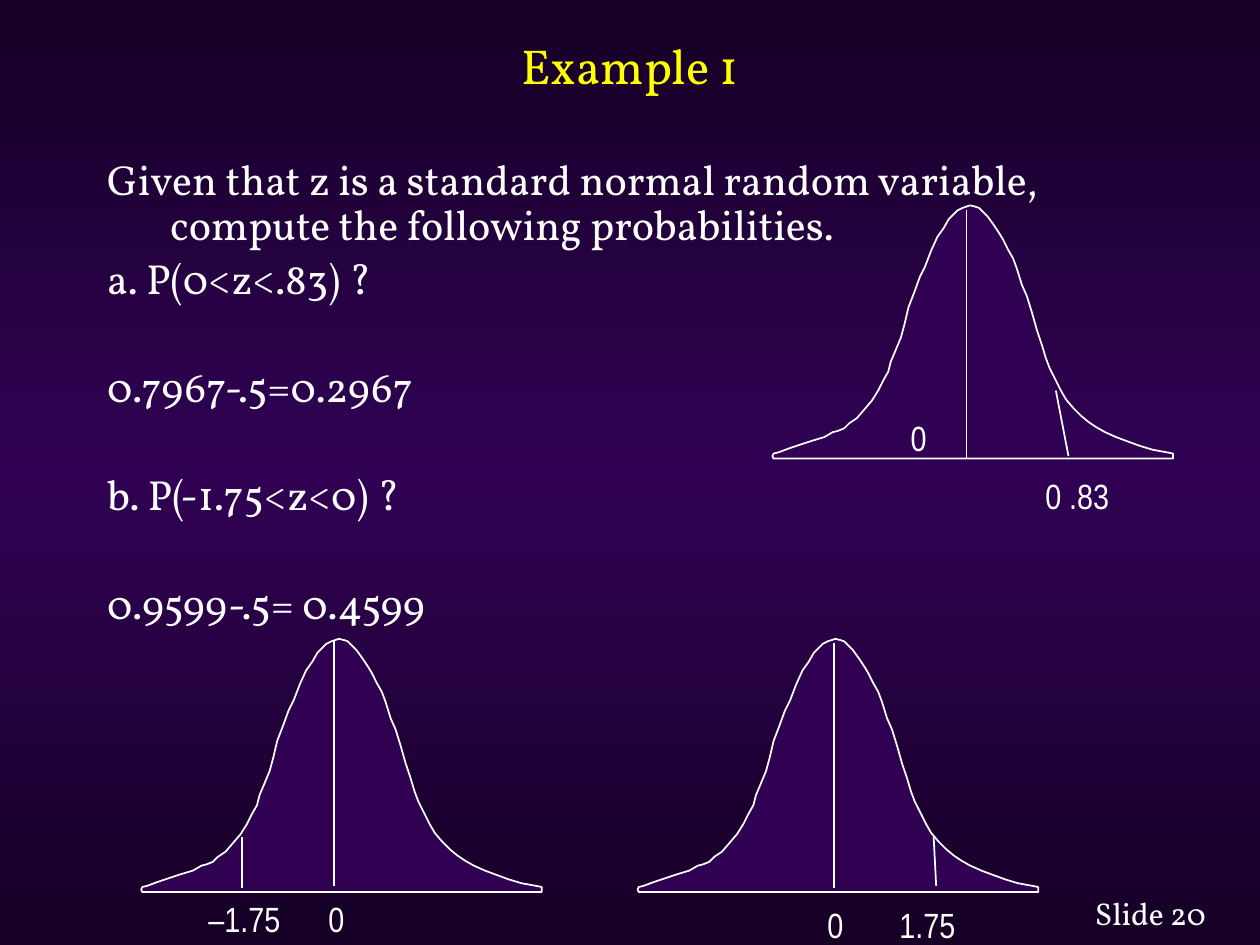
"""Build the slide of normal-curve probability examples."""
from copy import deepcopy

from lxml import etree
from pptx import Presentation
from pptx import util as u
from pptx.dml.color import RGBColor
from pptx.enum import shapes, text
from pptx.oxml.ns import qn

NIGHT = RGBColor(0x16, 0x00, 0x26)
PURPLE = RGBColor(0x30, 0x01, 0x53)
YELLOW = RGBColor(0xFF, 0xFF, 0x00)
WHITE = RGBColor(0xFF, 0xFF, 0xFF)
SERIF, NARROW = "Vollkorn", "Arial Narrow"

WIDTH, HEIGHT = u.Inches(10), u.Inches(7.5)
CELL = WIDTH // 100
BELL_UNIT = CELL // 10

BELL = [
    (1, 201), (0, 199), (1, 197), (5, 196), (13, 193), (22, 190), (31, 187),
    (41, 184), (48, 180), (52, 179), (57, 177), (61, 173), (67, 169),
    (73, 162), (79, 155), (84, 147), (88, 139), (92, 132), (94, 124),
    (97, 117), (102, 105), (105, 94), (108, 81), (113, 68), (117, 57),
    (121, 49), (126, 36), (131, 25), (136, 18), (140, 11), (144, 7),
    (147, 4), (151, 2), (154, 1), (157, 0), (161, 1), (164, 2), (168, 6),
    (171, 9), (176, 16), (180, 22), (183, 27), (187, 35), (191, 42),
    (194, 50), (198, 63), (202, 72), (206, 85), (210, 99), (214, 111),
    (217, 121), (220, 129), (224, 137), (229, 147), (233, 154), (239, 161),
    (245, 167), (251, 172), (257, 176), (264, 180), (273, 184), (281, 187),
    (292, 191), (302, 194), (313, 196), (318, 197), (318, 201),
]

CURVES = [
    (61.3, 16.3, [(154, 4, 154, 201), (225, 147, 235, 199)]),
    (11.2, 50.7, [(153, 2, 153, 196), (80, 157, 80, 198)]),
    (50.6, 50.7, [(156, 3, 156, 198), (235, 157, 237, 196)]),
]

LABELS = [
    ("0", 72.9, 32.6), ("0 .83", 85.5, 37.2),
    ("–1.75", 19.4, 70.7), ("0", 26.7, 70.7),
    ("0", 66.3, 71.2), ("1.75", 73.6, 71.2),
]

PROBLEM = [
    ("Given that z is a standard normal random variable, "
     "compute the following probabilities.", 0),
    ("a. P(0<z<.83) ?", 4.8),
    ("0.7967-.5=0.2967", 36),
    ("b. P(-1.75<z<0) ?", 36),
    ("0.9599-.5= 0.4599", 36),
]


def grid(*cells):
    """Turn counts of columns or rows into lengths."""
    return [round(count * CELL) for count in cells]


def style(paragraph, face, size, color):
    """Set the font of a whole paragraph."""
    font = paragraph.font
    font.name, font.size = face, u.Pt(size)
    font.color.rgb = color


def place(placeholder, *cells):
    """Move a placeholder to its cells and keep its text size fixed."""
    (placeholder.left, placeholder.top,
     placeholder.width, placeholder.height) = grid(*cells)
    placeholder.text_frame.auto_size = text.MSO_AUTO_SIZE.NONE


def paint_background(slide):
    """Shade the background from dark through purple to dark."""
    fill = slide.background.fill
    fill.gradient()
    fill.gradient_angle = 270
    stops = slide.element.find(".//" + qn("a:gsLst"))
    stops.insert(1, deepcopy(stops[0]))
    for stop, position, color in zip(
            fill.gradient_stops, (0, 0.5, 1), (NIGHT, PURPLE, NIGHT)):
        stop.position = position
        stop.color.rgb = color


def write_title(slide, words):
    """Write the centred title."""
    title = slide.shapes.title
    place(title, 7.5, 0.7, 85, 8.9)
    title.text_frame.vertical_anchor = text.MSO_ANCHOR.MIDDLE
    paragraph = title.text_frame.paragraphs[0]
    paragraph.text = words
    paragraph.alignment = text.PP_ALIGN.CENTER
    style(paragraph, SERIF, 28, YELLOW)


def write_problem(slide):
    """Write the question and its answers with hanging indents."""
    body = slide.placeholders[1]
    place(body, 7.5, 12.1, 85, 62.9)
    frame = body.text_frame
    for number, (words, gap) in enumerate(PROBLEM):
        paragraph = frame.add_paragraph() if number else frame.paragraphs[0]
        paragraph.text = words
        paragraph.line_spacing = 0.9
        paragraph.space_before = u.Pt(gap)
        properties = paragraph._p.get_or_add_pPr()
        properties.set("marL", str(u.Inches(0.5)))
        properties.set("indent", str(-u.Inches(0.5)))
        etree.SubElement(properties, qn("a:buNone"))
        style(paragraph, SERIF, 24, WHITE)


def draw_mark(slide, left, top, ends):
    """Draw a white line whose ends are measured from a curve's corner."""
    origin = (left, top) * 2
    points = [start + end * BELL_UNIT for start, end in zip(origin, ends)]
    mark = slide.shapes.add_connector(shapes.MSO_CONNECTOR.STRAIGHT, *points)
    mark.line.color.rgb = WHITE
    mark.line.width = u.Pt(1)
    etree.SubElement(mark._element.spPr, qn("a:effectLst"))


def draw_curve(slide, column, row, marks):
    """Draw a bell curve with its centre line and its limit."""
    left, top = grid(column, row)
    builder = slide.shapes.build_freeform(*BELL[0], scale=BELL_UNIT)
    builder.add_line_segments(BELL[1:], close=True)
    bell = builder.convert_to_shape(left, top)
    bell.shadow.inherit = False
    bell.fill.solid()
    bell.fill.fore_color.rgb = PURPLE
    bell.line.color.rgb = WHITE
    bell.line.width = u.Pt(1)
    for ends in marks:
        draw_mark(slide, left, top, ends)


def write_label(slide, words, center, row, face=NARROW, size=20, width=10):
    """Write a short centred label around a column."""
    label = slide.shapes.add_textbox(*grid(center - width / 2, row, width, 4))
    label.text_frame.word_wrap = True
    paragraph = label.text_frame.paragraphs[0]
    paragraph.text = words
    paragraph.alignment = text.PP_ALIGN.CENTER
    style(paragraph, face, size, WHITE)


def main():
    """Build and save the slide."""
    deck = Presentation()
    deck.slide_width, deck.slide_height = WIDTH, HEIGHT
    slide = deck.slides.add_slide(deck.slide_layouts[1])
    paint_background(slide)
    write_title(slide, "Example 1")
    write_problem(slide)
    for curve in CURVES:
        draw_curve(slide, *curve)
    for label in LABELS:
        write_label(slide, *label)
    write_label(slide, "Slide 20", 91.3, 70.5, SERIF, 18, 14)
    deck.save("out.pptx")


if __name__ == "__main__":
    main()
